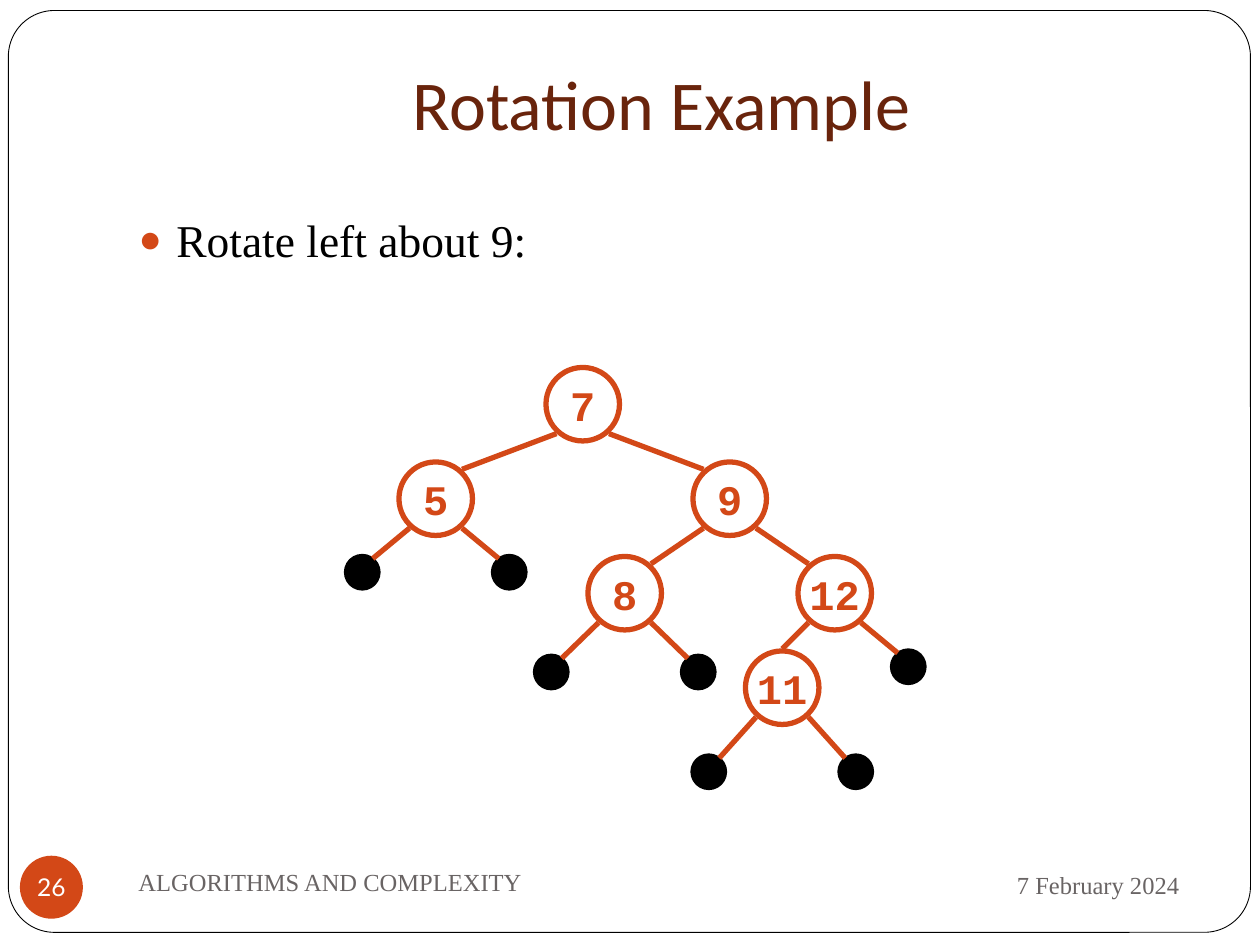
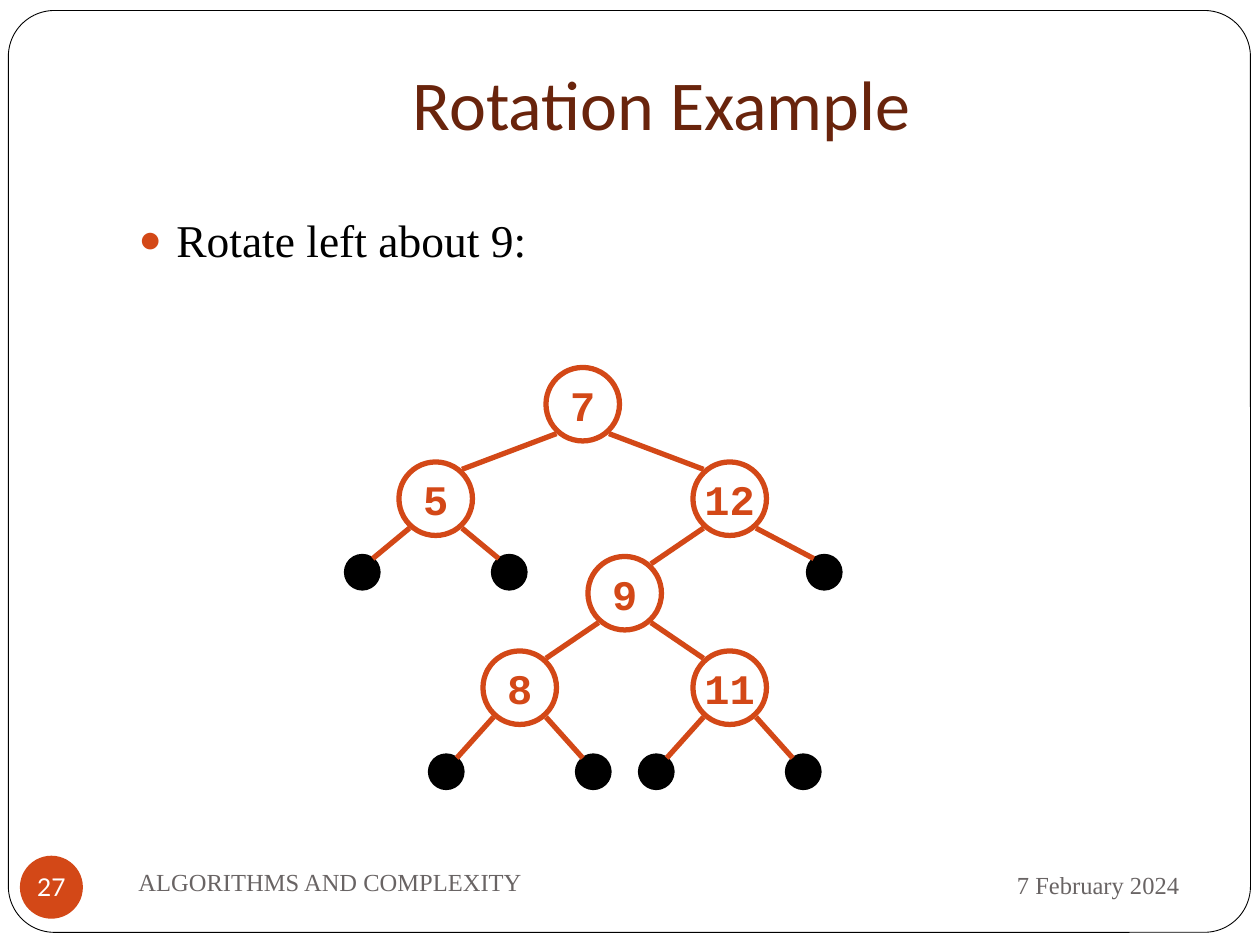
"""Build two slides showing a left rotation in a binary search tree."""
from lxml import etree
from pptx import Presentation
from pptx import util as u
from pptx.dml.color import RGBColor
from pptx.enum import shapes, text
from pptx.oxml import ns

PX = 7620
ORANGE = RGBColor(0xD3, 0x48, 0x17)
BROWN = RGBColor(0x69, 0x24, 0x0C)
GRAY = RGBColor(0x69, 0x64, 0x64)
BLACK = RGBColor(0, 0, 0)
WHITE = RGBColor(0xFF, 0xFF, 0xFF)

TITLE = {"name": "Calibri", "size": u.Pt(40), "bold": False}
BODY = {"name": "Times New Roman", "size": u.Pt(26)}
FOOTER = {"name": "Times New Roman", "size": u.Pt(14)}
NUMBER = {"name": "Lato", "size": u.Pt(14)}
KEY = {"name": "Courier New", "size": u.Pt(24), "bold": True}

MIDDLE = {"vertical_anchor": text.MSO_ANCHOR.MIDDLE}
UNWRAPPED = {**MIDDLE, "word_wrap": False}
NO_MARGINS = {f"margin_{side}": 0 for side in ("left", "top", "right", "bottom")}

NODE_RADIUS, LEAF_RADIUS = 35, 15
NODE_EDGE, LEAF_EDGE, NODE_TOP = (25, 28), (10, 13), (0, 37)
STEEP = 50

BEFORE = {
    "nodes": {"7": (555, 385), "5": (415, 475), "9": (695, 475),
              "8": (595, 565), "12": (795, 565), "11": (745, 655)},
    "branches": [("7", "5"), ("7", "9"), ("9", "8"), ("9", "12"), ("12", "11")],
    "leaves": [("5", -70, 70), ("5", 70, 70), ("8", -70, 75), ("8", 70, 75),
               ("12", 70, 70), ("11", -70, 80), ("11", 70, 80)],
}
AFTER = {
    "nodes": {"7": (555, 385), "5": (415, 475), "12": (695, 475),
              "9": (595, 565), "8": (495, 655), "11": (695, 655)},
    "branches": [("7", "5"), ("7", "12"), ("12", "9"), ("9", "8"), ("9", "11")],
    "leaves": [("5", -70, 70), ("5", 70, 70), ("12", 90, 70), ("8", -70, 80),
               ("8", 70, 80), ("11", -70, 80), ("11", 70, 80)],
}


def set_all(target, formats):
    """Set each attribute named in formats on target."""
    for name, value in formats.items():
        setattr(target, name, value)


class Deck:
    """Hold the presentation, its style and the current slide."""

    def __init__(self):
        """Start an empty 10 by 7.5 inch presentation."""
        self.prs = Presentation()
        set_all(self.prs, {"slide_width": 1200 * PX, "slide_height": 900 * PX})
        self.layout = self.prs.slide_layouts[1]
        self.slide = None

    def new_slide(self):
        """Add a slide and make it current."""
        self.slide = self.prs.slides.add_slide(self.layout)

    def put_text(self, shape, words, font, color, frame=None, align=None):
        """Put one formatted paragraph in a shape and return the paragraph."""
        set_all(shape.text_frame, frame or {})
        paragraph = shape.text_frame.paragraphs[0]
        paragraph.alignment = align
        run = paragraph.add_run()
        run.text = words
        set_all(run.font, font)
        run.font.color.rgb = color
        return paragraph

    def place(self, shape, left, top, width, height):
        """Move and size a shape in px."""
        set_all(shape, {"left": left * PX, "top": top * PX,
                        "width": width * PX, "height": height * PX})

    def outline(self, kind, box, fill, line=None, weight=3):
        """Add a filled preset shape with an optional line."""
        shape = self.slide.shapes.add_shape(kind, *(v * PX for v in box))
        shape.shadow.inherit = False
        shape.fill.solid()
        shape.fill.fore_color.rgb = fill
        if line is None:
            shape.line.fill.background()
        else:
            shape.line.color.rgb = line
            shape.line.width = u.Pt(weight)
        return shape

    def circle(self, center, radius, fill, line=None):
        """Add a circle around a center."""
        x, y = center
        box = (x - radius, y - radius, 2 * radius, 2 * radius)
        return self.outline(shapes.MSO_SHAPE.OVAL, box, fill, line)

    def shared_border(self):
        """Draw the rounded border and move it to the layout."""
        border = self.outline(shapes.MSO_SHAPE.ROUNDED_RECTANGLE,
                              (8, 10, 1183, 878), WHITE, BLACK, 0.5)
        border.adjustments[0] = 0.05
        self.layout.shapes._spTree.insert(2, border._element)

    def title(self, words):
        """Fill the title placeholder."""
        heading = self.slide.shapes.title
        self.place(heading, 120, 0, 1020, 150)
        frame = {"vertical_anchor": text.MSO_ANCHOR.BOTTOM, "margin_bottom": 12 * PX,
                 "auto_size": text.MSO_AUTO_SIZE.NONE}
        self.put_text(heading, words, TITLE, BROWN, frame, text.PP_ALIGN.CENTER)

    def bullet(self, words):
        """Fill the body placeholder with one bulleted line."""
        body = self.slide.placeholders[1]
        self.place(body, 120, 190, 1020, 600)
        frame = {"margin_top": 12 * PX, "auto_size": text.MSO_AUTO_SIZE.NONE}
        paragraph = self.put_text(body, words, BODY, BLACK, frame)
        paragraph.space_before = u.Pt(0)
        props = paragraph._p.get_or_add_pPr()
        props.set("marL", str(36 * PX))
        props.set("indent", str(-36 * PX))
        color = etree.SubElement(props, ns.qn("a:buClr"))
        etree.SubElement(color, ns.qn("a:srgbClr"), val=str(ORANGE))
        etree.SubElement(props, ns.qn("a:buSzPct"), val="85000")
        etree.SubElement(props, ns.qn("a:buChar"), char="●")

    def label(self, words, box, align):
        """Add a footer text box."""
        note = self.slide.shapes.add_textbox(*(v * PX for v in box))
        self.put_text(note, words, FOOTER, GRAY, {**MIDDLE, "word_wrap": True}, align)

    def footer(self, number):
        """Add the date, the page badge and the course name."""
        self.label("7 February 2024", (810, 812, 325, 62), text.PP_ALIGN.RIGHT)
        badge = self.circle((49, 845), 30, ORANGE)
        self.put_text(badge, str(number), NUMBER, WHITE, {**UNWRAPPED, **NO_MARGINS},
                      text.PP_ALIGN.CENTER)
        self.label("ALGORITHMS AND COMPLEXITY", (120, 810, 520, 60), text.PP_ALIGN.LEFT)

    def branch(self, parent, child, child_edge):
        """Join a parent's lower edge to a child's upper edge."""
        side = 1 if child[0] > parent[0] else -1
        ends = (parent[0] + side * NODE_EDGE[0], parent[1] + NODE_EDGE[1],
                child[0] - side * child_edge[0], child[1] - child_edge[1])
        line = self.slide.shapes.add_connector(
            shapes.MSO_CONNECTOR.STRAIGHT, *(v * PX for v in ends))
        line.line.color.rgb = ORANGE
        line.line.width = u.Pt(3)
        etree.SubElement(line._element.spPr, ns.qn("a:effectLst"))

    def tree(self, nodes, branches, leaves):
        """Draw leaves, then branches, then the keyed nodes."""
        tips = [(nodes[key], (nodes[key][0] + dx, nodes[key][1] + dy))
                for key, dx, dy in leaves]
        for _, leaf in tips:
            self.circle(leaf, LEAF_RADIUS, BLACK, BLACK)
        for parent, leaf in tips:
            self.branch(parent, leaf, LEAF_EDGE)
        for upper, lower in branches:
            parent, child = nodes[upper], nodes[lower]
            steep = abs(child[0] - parent[0]) <= STEEP
            self.branch(parent, child, NODE_TOP if steep else NODE_EDGE)
        for key, center in nodes.items():
            node = self.circle(center, NODE_RADIUS, WHITE, ORANGE)
            self.put_text(node, key, KEY, ORANGE, UNWRAPPED, text.PP_ALIGN.CENTER)


def main():
    """Build and save both slides."""
    deck = Deck()
    for number, stage in enumerate((BEFORE, AFTER), start=26):
        deck.new_slide()
        deck.title("Rotation Example")
        deck.bullet("Rotate left about 9:")
        deck.tree(**stage)
        deck.footer(number)
    deck.shared_border()
    deck.prs.save("out.pptx")


if __name__ == "__main__":
    main()
